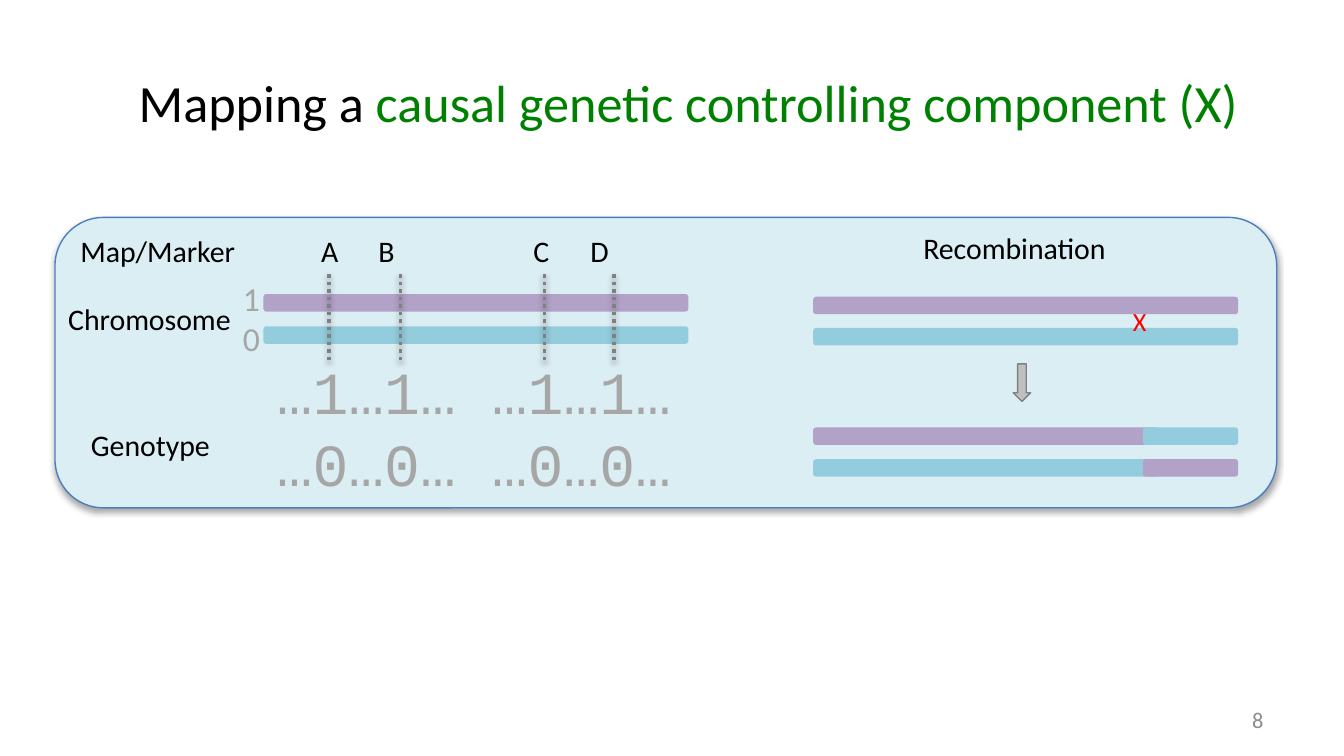
from dataclasses import dataclass

from lxml import etree
from pptx import Presentation
from pptx.dml.color import RGBColor
from pptx.enum import dml, shapes, text
from pptx.oxml.ns import qn
from pptx.util import Cm, Pt


@dataclass(frozen=True)
class Theme:
    font: str = "Calibri"
    mono: str = "Courier New"
    ink: str = "000000"
    green: str = "008000"
    red: str = "FF0000"
    pale: str = "A6A6A6"
    page: str = "8C8C8C"
    panel: str = "DBEEF4"
    edge: str = "4B7EBC"
    violet: str = "B3A2C7"
    aqua: str = "93CDDD"
    arrow: str = "BFBFBF"
    mark: str = "808080"
    title: int = 28
    body: int = 16
    allele: int = 18
    code: int = 32
    cross: int = 14
    foot: int = 12


@dataclass(frozen=True)
class Box:
    left: float
    top: float
    width: float
    height: float

    def emu(self) -> tuple:
        return Cm(self.left), Cm(self.top), Cm(self.width), Cm(self.height)


@dataclass(frozen=True)
class Label:
    box: Box
    lines: tuple
    size: int = Theme.body
    color: str = Theme.ink
    font: str = Theme.font
    align: text.PP_ALIGN = text.PP_ALIGN.LEFT
    anchor: text.MSO_ANCHOR = text.MSO_ANCHOR.TOP
    tab: float = 0


@dataclass(frozen=True)
class Bar:
    left: float
    top: float
    width: float
    color: str


T = Theme()
SHAPE = shapes.MSO_SHAPE
THICK = 0.33
LONG = 8.03
MARKS = (6.22, 7.57, 10.29, 11.61)
TAB = 1.08

BARS = (
    Bar(4.98, 5.56, LONG, T.violet), Bar(4.98, 6.17, LONG, T.aqua),
    Bar(15.37, 5.61, LONG, T.violet), Bar(15.37, 6.2, LONG, T.aqua),
    Bar(15.37, 8.08, 6.53, T.violet), Bar(21.6, 8.08, 1.8, T.aqua),
    Bar(15.37, 8.68, 6.53, T.aqua), Bar(21.6, 8.68, 1.8, T.violet),
)

LABELS = (
    Label(Box(1.04, 5.56, 3.94, 0.94), ("Chromosome",)),
    Label(Box(4.34, 5.13, 0.79, 1.8), ("1", "0"), T.allele, T.pale),
    Label(Box(1.27, 4.27, 3.53, 0.94), ("Map/Marker",)),
    Label(Box(17.2, 4.22, 4.24, 0.94), ("Recombination",)),
    Label(Box(21.16, 5.64, 0.74, 0.86), ("X",), T.cross, T.red),
    Label(Box(5.82, 4.27, 2.18, 0.94), ("A\tB",), tab=TAB),
    Label(Box(9.83, 4.27, 2.29, 0.94), ("C\tD",), tab=TAB),
    Label(Box(1.47, 7.95, 2.95, 0.94), ("Genotype",)),
    Label(Box(4.98, 6.58, 8.03, 3), ("…1…1… …1…1…", "…0…0… …0…0…"),
          T.code, T.pale, T.mono),
    Label(Box(18.21, 13.23, 5.92, 0.76), ("8",), T.foot, T.page,
          align=text.PP_ALIGN.RIGHT, anchor=text.MSO_ANCHOR.MIDDLE),
)


def rgb(code: str) -> RGBColor:
    return RGBColor.from_string(code)


def shade(item, alpha: int) -> None:
    """Give the item a soft shadow straight below it."""
    props = item._element.spPr
    for old in props.findall(qn("a:effectLst")):
        props.remove(old)
    group = etree.SubElement(props, qn("a:effectLst"))
    outer = etree.SubElement(group, qn("a:outerShdw"), blurRad=str(Pt(3.1)),
                             dist=str(Pt(1.8)), dir="5400000", rotWithShape="0")
    tint = etree.SubElement(outer, qn("a:srgbClr"), val=T.ink)
    etree.SubElement(tint, qn("a:alpha"), val=str(alpha * 1000))


def block(slide, kind: SHAPE, box: Box, fill: str, edge: str = ""):
    item = slide.shapes.add_shape(kind, *box.emu())
    item.fill.solid()
    item.fill.fore_color.rgb = rgb(fill)
    if edge:
        item.line.color.rgb = rgb(edge)
        item.line.width = Pt(0.75)
    else:
        item.line.fill.background()
    item.shadow.inherit = False
    return item


def write(slide, label: Label):
    """Add the label as a text box and return its paragraphs."""
    frame = slide.shapes.add_textbox(*label.box.emu()).text_frame
    frame.word_wrap = True
    frame.vertical_anchor = label.anchor
    frame.text = "\n".join(label.lines)
    for para in frame.paragraphs:
        para.alignment = label.align
        if label.tab:
            tabs = etree.SubElement(para._p.get_or_add_pPr(), qn("a:tabLst"))
            etree.SubElement(tabs, qn("a:tab"), pos=str(Cm(label.tab)), algn="l")
        para.font.name = label.font
        para.font.size = Pt(label.size)
        para.font.color.rgb = rgb(label.color)
    return frame.paragraphs


def mark(slide, left: float) -> None:
    line = slide.shapes.add_connector(shapes.MSO_CONNECTOR.STRAIGHT,
                                      Cm(left), Cm(5.18), Cm(left), Cm(6.86))
    line.line.color.rgb = rgb(T.mark)
    line.line.width = Pt(2)
    line.line.dash_style = dml.MSO_LINE.ROUND_DOT
    shade(line, 38)


def main() -> None:
    deck = Presentation()
    deck.slide_width, deck.slide_height = Cm(25.4), Cm(14.29)
    slide = deck.slides.add_slide(deck.slide_layouts[6])

    panel = block(slide, SHAPE.ROUNDED_RECTANGLE,
                  Box(1.04, 4.11, 23.09, 5.49), T.panel, T.edge)
    shade(panel, 35)

    title = write(slide, Label(Box(1.22, 1.14, 23.57, 1.55), ("Mapping a ",), T.title,
                               align=text.PP_ALIGN.CENTER,
                               anchor=text.MSO_ANCHOR.MIDDLE))[0]
    focus = title.add_run()
    focus.text = "causal genetic controlling component (X)"
    focus.font.color.rgb = rgb(T.green)

    for bar in BARS:
        block(slide, SHAPE.ROUNDED_RECTANGLE,
              Box(bar.left, bar.top, bar.width, THICK), bar.color)
    block(slide, SHAPE.DOWN_ARROW, Box(19.15, 6.88, 0.33, 0.71), T.arrow, T.mark)
    for label in LABELS:
        write(slide, label)
    for left in MARKS:
        mark(slide, left)

    deck.save("out.pptx")


if __name__ == "__main__":
    main()
